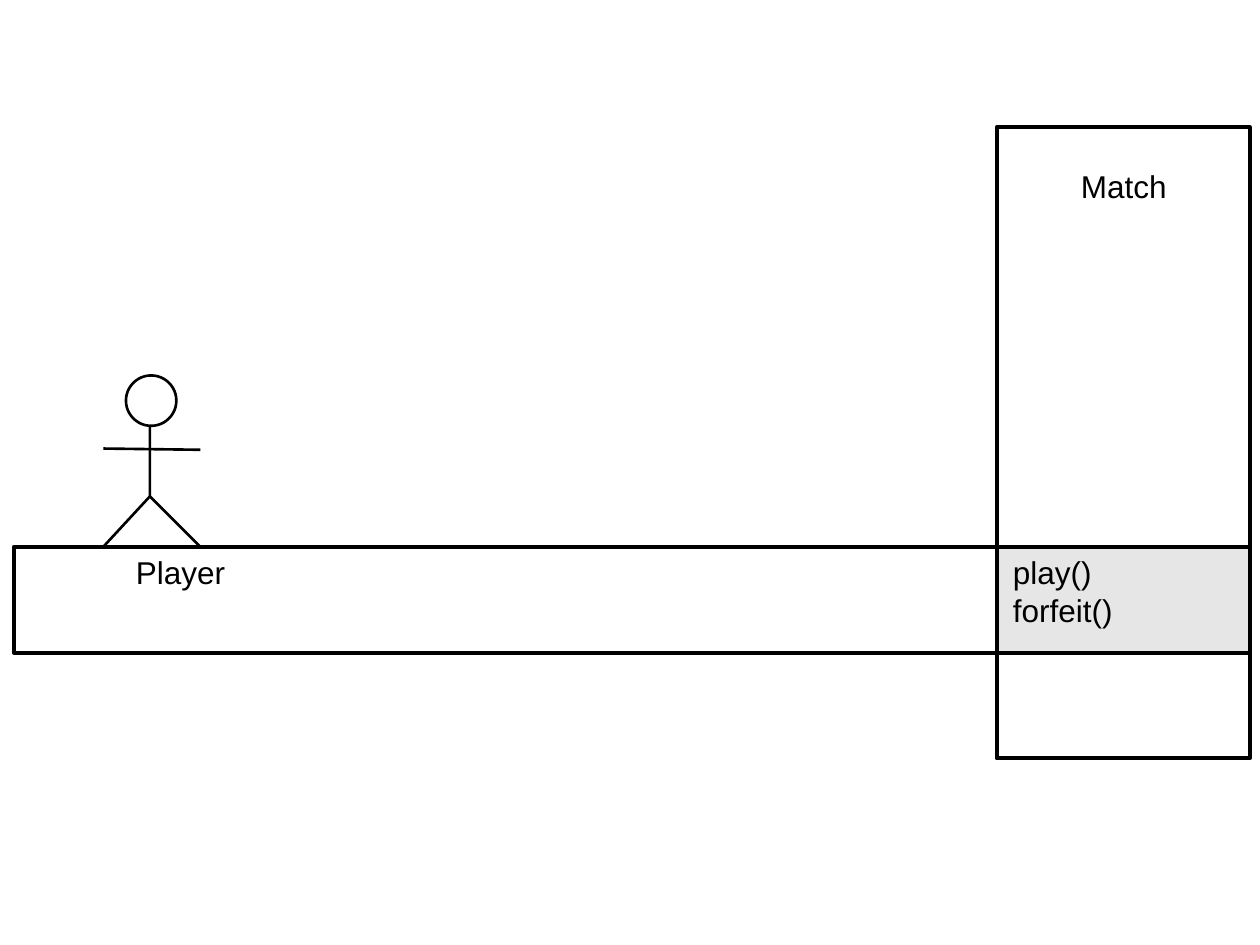
from lxml import etree
from pptx import Presentation
from pptx import util as u
from pptx.dml.color import RGBColor
from pptx.enum import shapes, text
from pptx.oxml import ns

FONT = {"name": "Arial", "size": u.Pt(18)}
BLACK, WHITE, GREY = "000000", "FFFFFF", "E6E6E6"
LANE_LINE, ACTOR_LINE = 2.25, 1.5


def color(hex_code):
    return RGBColor.from_string(hex_code)


def inches(*values):
    return [u.Inches(value) for value in values]


class Diagram:
    def __init__(self, slide):
        self.slide = slide
        self.target = slide.shapes

    def start_group(self):
        """Send the elements that follow into a new group."""
        self.target = self.slide.shapes.add_group_shape().shapes

    def style(self, element, fill, line_width):
        element.shadow.inherit = False
        if fill:
            element.fill.solid()
            element.fill.fore_color.rgb = color(fill)
        else:
            element.fill.background()
        if line_width:
            self.stroke(element, line_width)
        else:
            element.line.fill.background()

    def stroke(self, element, width):
        element.line.color.rgb = color(BLACK)
        element.line.width = u.Pt(width)

    def shape(self, kind, box, fill=None, line_width=None):
        self.style(self.target.add_shape(kind, *inches(*box)), fill, line_width)

    def outline(self, points, line_width):
        start, *rest = [inches(*point) for point in points]
        builder = self.target.build_freeform(*start)
        builder.add_line_segments(rest, close=False)
        self.style(builder.convert_to_shape(), None, line_width)

    def line(self, start, end, width):
        connector = self.target.add_connector(
            shapes.MSO_CONNECTOR.STRAIGHT, *inches(*start, *end))
        self.stroke(connector, width)
        etree.SubElement(connector._element.spPr, ns.qn("a:effectLst"))

    def label(self, box, *lines):
        frame = self.target.add_textbox(*inches(*box)).text_frame
        frame.word_wrap = False
        frame.auto_size = text.MSO_AUTO_SIZE.SHAPE_TO_FIT_TEXT
        paragraph = frame.paragraphs[0]
        for index, words in enumerate(lines):
            if index:
                paragraph.add_line_break()
            run = paragraph.add_run()
            run.text = words
            for key, value in FONT.items():
                setattr(run.font, key, value)
            run.font.color.rgb = color(BLACK)


def main():
    deck = Presentation()
    deck.slide_width, deck.slide_height = inches(10, 7.5)
    diagram = Diagram(deck.slides.add_slide(deck.slide_layouts[6]))
    rectangle = shapes.MSO_SHAPE.RECTANGLE

    # The player row and the match column cross in the shaded cell.
    row_left, row_top, row_height = 0.11, 4.34, 0.84
    column_left, column_top, column_width, column_height = 7.91, 1.01, 2.01, 5.01
    row_width = column_left + column_width - row_left

    diagram.shape(rectangle, (column_left, row_top, column_width, row_height), fill=GREY)
    diagram.label((0.98, row_top, 0.91, 0.4), "Player")
    diagram.label((8.48, 1.28, 0.88, 0.4), "Match")
    diagram.label((7.94, row_top, 0.99, 0.7), "play()", "forfeit()")
    diagram.shape(rectangle, (row_left, row_top, row_width, row_height),
                  line_width=LANE_LINE)
    diagram.shape(rectangle, (column_left, column_top, column_width, column_height),
                  line_width=LANE_LINE)

    # The stick figure stands on the player row.
    left_foot, right_foot = (0.82, row_top), (1.59, row_top)
    hip, neck = (1.19, 3.94), (1.19, 3.26)
    diagram.start_group()
    diagram.outline([neck, hip, left_foot], ACTOR_LINE)
    diagram.line(hip, right_foot, ACTOR_LINE)
    diagram.line((0.82, 3.56), (1.59, 3.57), ACTOR_LINE)
    diagram.shape(shapes.MSO_SHAPE.OVAL, (1, 2.98, 0.4, 0.4), WHITE, ACTOR_LINE)

    deck.save("out.pptx")


if __name__ == "__main__":
    main()
